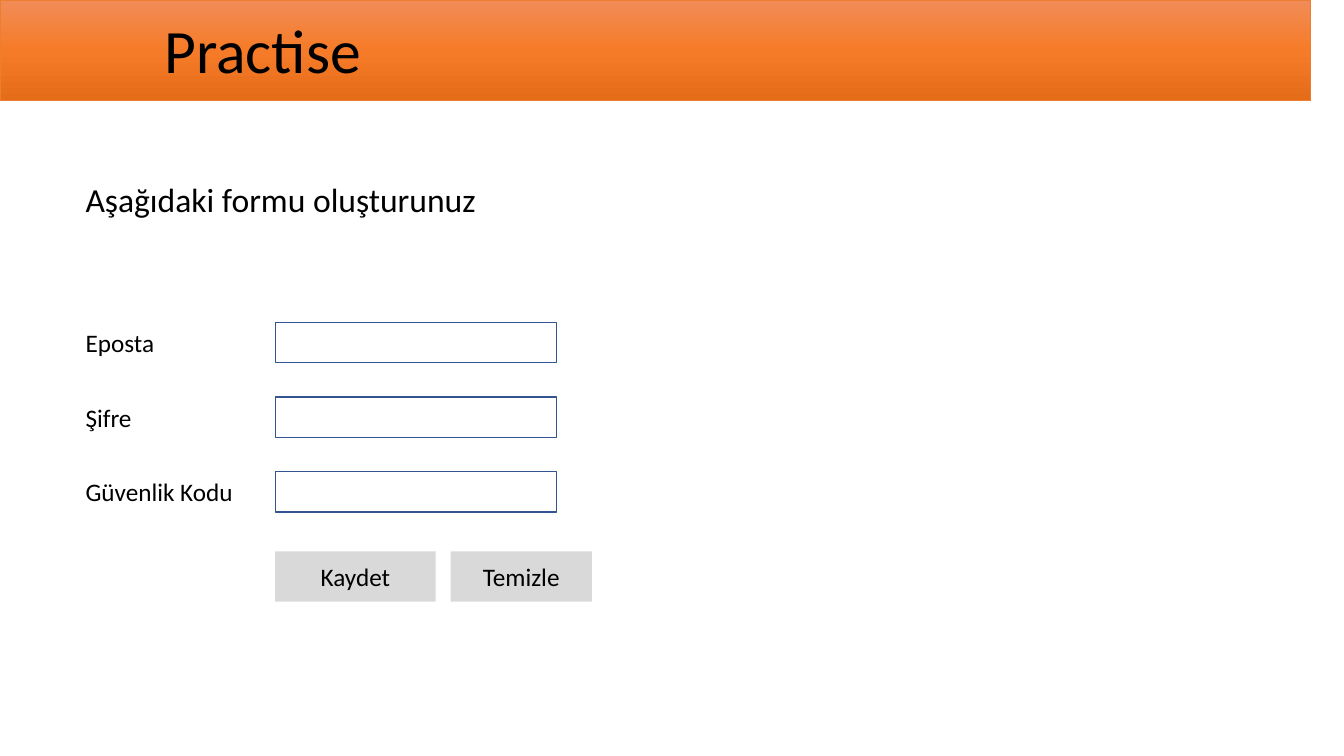
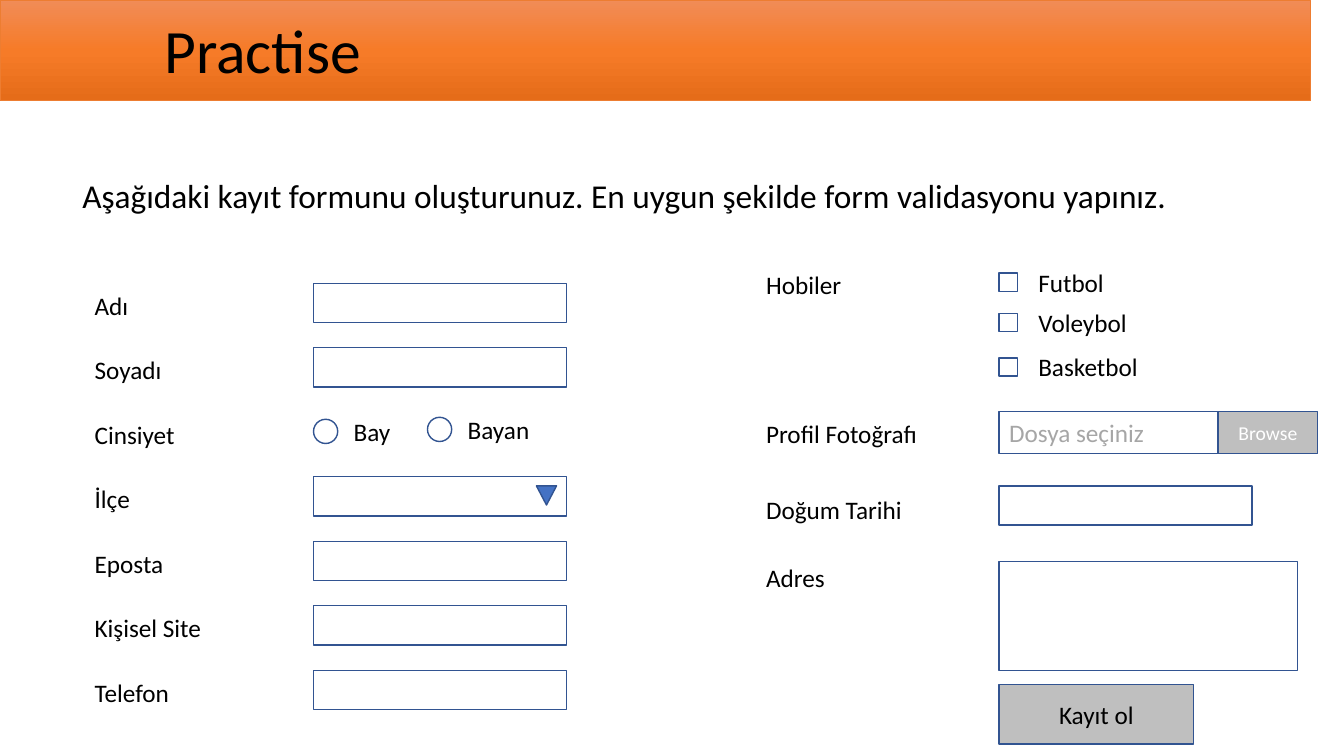
from copy import deepcopy

from pptx import Presentation
from pptx.dml.color import RGBColor
from pptx.enum.shapes import MSO_SHAPE as Preset
from pptx.enum.text import MSO_ANCHOR as Anchor, MSO_AUTO_SIZE as AutoSize, PP_ALIGN as Align
from pptx.oxml.ns import qn
from pptx.util import Inches, Pt

WIDTH, HEIGHT = 13.33, 7.5
FONT = "Calibri"
BLACK, WHITE = "000000", "FFFFFF"
BORDER, ACCENT = "325491", "4472C4"
BUTTON_LIGHT, BUTTON_GRAY, HINT = "D9D9D9", "BFBFBF", "A6A6A6"
BAND_LINE = "ED7D31"
BAND_STOPS = ((0, "F18C57"), (0.5, "F67B28"), (1, "E56C19"))
BAND_BOTTOM, NOTCH_TIP = 1.09, 1.26
LABEL_HEIGHT = 0.4
FIELD_WIDTH, FIELD_HEIGHT = 2.51, 0.39


def color(value):
    return RGBColor.from_string(value)


def inches(*lengths):
    return [Inches(length) for length in lengths]


def format_text(text_frame, text, size=18, text_color=BLACK, align=Align.LEFT, anchor=Anchor.TOP):
    text_frame.text = text
    text_frame.word_wrap = True
    text_frame.auto_size = AutoSize.NONE
    text_frame.vertical_anchor = anchor
    paragraph = text_frame.paragraphs[0]
    paragraph.alignment = align
    font = paragraph.runs[0].font
    font.name, font.size = FONT, Pt(size)
    font.color.rgb = color(text_color)
    return paragraph


def add_label(slide, text, left, top, width=1.98, height=LABEL_HEIGHT, size=18):
    box = slide.shapes.add_textbox(*inches(left, top, width, height))
    format_text(box.text_frame, text, size)


def add_box(slide, left, top, width=FIELD_WIDTH, height=FIELD_HEIGHT,
            preset=Preset.RECTANGLE, fill=None, line=BORDER):
    shape = slide.shapes.add_shape(preset, *inches(left, top, width, height))
    shape.shadow.inherit = False
    if fill:
        shape.fill.solid()
        shape.fill.fore_color.rgb = color(fill)
    else:
        shape.fill.background()
    if line:
        shape.line.color.rgb = color(line)
        shape.line.width = Pt(1)
    else:
        shape.line.fill.background()
    return shape


def add_button(slide, text, left, top, width, height, fill, line=BORDER, size=18, text_color=BLACK):
    button = add_box(slide, left, top, width, height, fill=fill, line=line)
    format_text(button.text_frame, text, size, text_color, Align.CENTER, Anchor.MIDDLE)


def add_choice(slide, text, left, top, size, gap, preset):
    add_box(slide, left, top + (LABEL_HEIGHT - size) / 2, size, size, preset)
    add_label(slide, text, left + size + gap, top, 1.4)


def add_band(slide, layout):
    outline = ((0, 0), (0, BAND_BOTTOM), (2.18, BAND_BOTTOM), (2.6, 1.25), (2.65, NOTCH_TIP),
               (2.7, 1.25), (3.11, BAND_BOTTOM), (WIDTH, BAND_BOTTOM))
    builder = slide.shapes.build_freeform(WIDTH, 0, scale=Inches(1))
    builder.add_line_segments(outline, close=True)
    band = builder.convert_to_shape()
    band.shadow.inherit = False
    band.fill.gradient()
    band.fill.gradient_angle = 270
    stop_list = next(band.element.iter(qn("a:gsLst")))
    stop_list.append(deepcopy(stop_list[-1]))
    for stop, (position, value) in zip(band.fill.gradient_stops, BAND_STOPS):
        stop.position = position
        stop.color.rgb = color(value)
    band.line.color.rgb = color(BAND_LINE)
    band.line.width = Pt(0.5)
    layout.shapes.element.insert(2, band.element)


def add_slide(presentation, layout, title_text):
    slide = presentation.slides.add_slide(layout)
    title = slide.shapes.title
    title.left, title.top, title.width, title.height = inches(1.53, 0, 9.75, 1.06)
    paragraph = format_text(title.text_frame, title_text, 44, anchor=Anchor.MIDDLE)
    paragraph.line_spacing = 0.9
    return slide


def fill_login_form(slide):
    label_left, field_left, first_row, row_pitch = 0.75, 2.73, 3.2, 0.74
    add_label(slide, "Aşağıdaki formu oluşturunuz", label_left, 1.73, 11.85, 0.5, 24)
    for row, text in enumerate(("Eposta", "Şifre", "Güvenlik Kodu")):
        top = first_row + row * row_pitch
        add_label(slide, text, label_left, top)
        add_box(slide, field_left, top, 2.79, LABEL_HEIGHT)
    left = field_left
    for text, width in (("Kaydet", 1.59), ("Temizle", 1.4)):
        add_button(slide, text, left, 5.47, width, 0.5, BUTTON_LIGHT, line=None)
        left += width + 0.15


def fill_personal_fields(slide):
    label_left, field_left, first_row, row_pitch = 0.84, 3.11, 2.83, 0.64
    labels = ("Adı", "Soyadı", "Cinsiyet", "İlçe", "Eposta", "Kişisel Site", "Telefon")
    for row, text in enumerate(labels):
        top = first_row + row * row_pitch
        add_label(slide, text, label_left, top)
        if text == "Cinsiyet":
            add_choice(slide, "Bay", field_left, top - 0.03, 0.24, 0.06, Preset.OVAL)
            add_choice(slide, "Bayan", field_left + 1.13, top - 0.05, 0.24, 0.06, Preset.OVAL)
        else:
            add_box(slide, field_left, top - 0.02)
        if text == "İlçe":
            arrow = add_box(slide, 5.32, top + 0.07, 0.2, 0.19, Preset.ISOSCELES_TRIANGLE, ACCENT)
            arrow.rotation = 180


def fill_profile_fields(slide):
    label_left, field_left = 7.5, 9.91
    for text, top in (("Hobiler", 2.62), ("Profil Fotoğrafı", 4.1),
                      ("Doğum Tarihi", 4.86), ("Adres", 5.53)):
        add_label(slide, text, label_left, top)
    for text, top in (("Futbol", 2.6), ("Voleybol", 3), ("Basketbol", 3.44)):
        add_choice(slide, text, field_left, top, 0.18, 0.11, Preset.RECTANGLE)
    file_field = add_box(slide, field_left, 4.08, 3.15, 0.42)
    format_text(file_field.text_frame, "Dosya seçiniz", 18, HINT, anchor=Anchor.MIDDLE)
    add_button(slide, "Browse", 12.08, 4.08, 0.99, 0.42, BUTTON_GRAY, size=14, text_color=WHITE)
    add_box(slide, field_left, 4.82)
    add_box(slide, field_left, 5.57, 2.96, 1.08)
    add_button(slide, "Kayıt ol", field_left, 6.79, 1.93, 0.59, BUTTON_GRAY)


def fill_registration_form(slide):
    text = "Aşağıdaki kayıt formunu oluşturunuz. En uygun şekilde form validasyonu yapınız."
    add_label(slide, text, 0.72, 1.69, 11.54, 0.59, 23.8)
    fill_personal_fields(slide)
    fill_profile_fields(slide)


def main():
    presentation = Presentation()
    presentation.slide_width, presentation.slide_height = inches(WIDTH, HEIGHT)
    layout = presentation.slide_layouts.get_by_name("Title Only")
    login_slide = add_slide(presentation, layout, "Practise")
    add_band(login_slide, layout)
    fill_login_form(login_slide)
    fill_registration_form(add_slide(presentation, layout, "Practise"))
    presentation.save("out.pptx")


if __name__ == "__main__":
    main()
